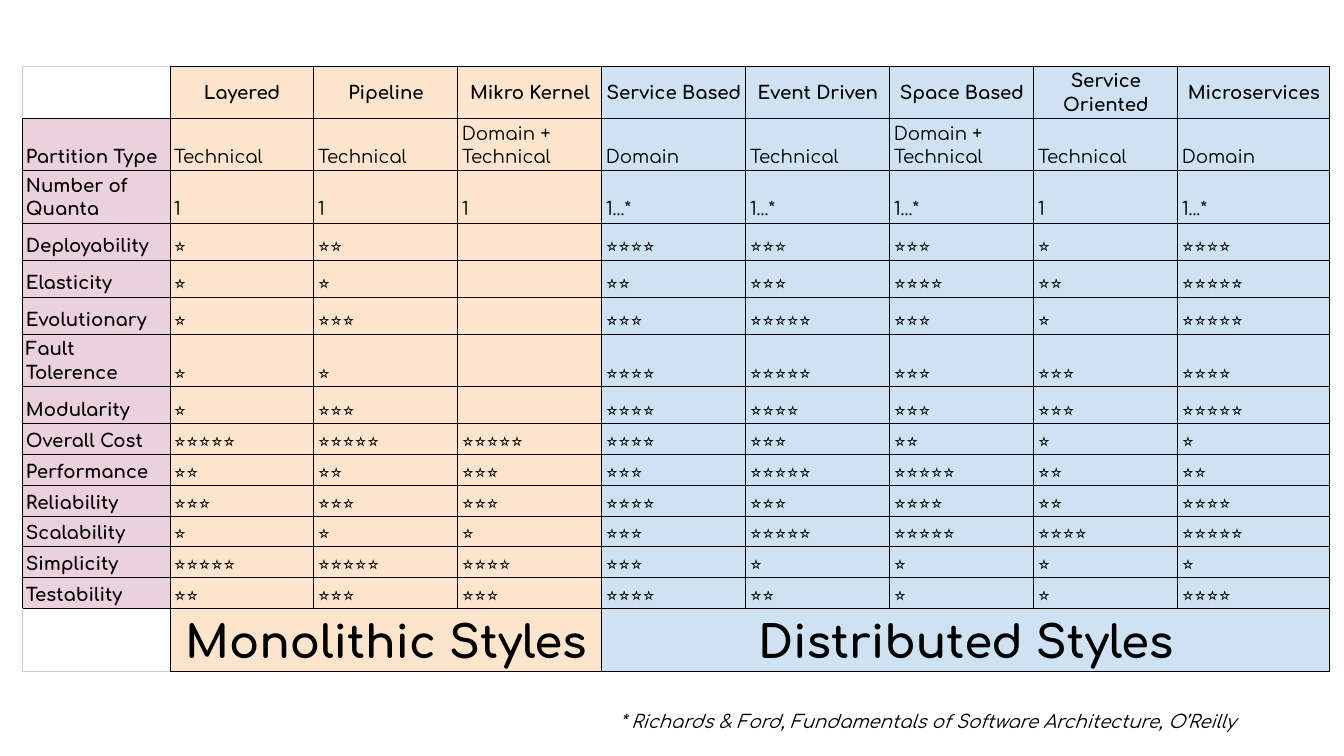
from lxml import etree
from pptx import Presentation
from pptx.dml.color import RGBColor
from pptx.enum.text import MSO_ANCHOR, MSO_AUTO_SIZE, PP_ALIGN
from pptx.oxml.ns import qn
from pptx.util import Pt

PX = 914400 / 100.8
FONT = "Comfortaa"
CENTER, LEFT = PP_ALIGN.CENTER, PP_ALIGN.LEFT
MIDDLE, BOTTOM = MSO_ANCHOR.MIDDLE, MSO_ANCHOR.BOTTOM
GROW = MSO_AUTO_SIZE.SHAPE_TO_FIT_TEXT
COLORS = {
    "text": "000000",
    "border": "000000",
    "faint": "CCCCCC",
    "label": "EAD1DC",
    "monolithic": "FCE5CD",
    "distributed": "CFE2F3",
}
COLUMN_WIDTHS = [148] + [144] * 7 + [152]
ROW_HEIGHTS = [52, 52, 51, 37, 37, 37, 52, 37, 31, 31, 31, 30, 31, 31, 63]
FIRST_DISTRIBUTED = 4

STAR_RATINGS = {
    "Deployability": [1, 2, 0, 4, 3, 3, 1, 4],
    "Elasticity": [1, 1, 0, 2, 3, 4, 2, 5],
    "Evolutionary": [1, 3, 0, 3, 5, 3, 1, 5],
    "Fault Tolerence": [1, 1, 0, 4, 5, 3, 3, 4],
    "Modularity": [1, 3, 0, 4, 4, 3, 3, 5],
    "Overall Cost": [5, 5, 5, 4, 3, 2, 1, 1],
    "Performance": [2, 2, 3, 3, 5, 5, 2, 2],
    "Reliability": [3, 3, 3, 4, 3, 4, 2, 4],
    "Scalability": [1, 1, 1, 3, 5, 5, 4, 5],
    "Simplicity": [5, 5, 4, 3, 1, 1, 1, 1],
    "Testability": [2, 3, 3, 4, 2, 1, 1, 4],
}
rows = [
    ["", "Layered", "Pipeline", "Mikro Kernel", "Service Based", "Event Driven",
     "Space Based", "Service Oriented", "Microservices"],
    ["Partition Type", "Technical", "Technical", "Domain + Technical", "Domain",
     "Technical", "Domain + Technical", "Technical", "Domain"],
    ["Number of Quanta", "1", "1", "1", "1...*", "1...*", "1...*", "1", "1...*"],
]
rows += [[label] + ["⭐" * count for count in counts] for label, counts in STAR_RATINGS.items()]
rows.append(["", "Monolithic Styles", "", "", "Distributed Styles", "", "", "", ""])
LAST_ROW = len(rows) - 1


def px(length):
    return round(length * PX)


def style_run(run, size, bold=False, italic=False):
    run.font.name = FONT
    run.font.size = Pt(size)
    run.font.bold = bold
    run.font.italic = italic
    run.font.color.rgb = RGBColor.from_string(COLORS["text"])


presentation = Presentation()
presentation.slide_width = px(1344)
presentation.slide_height = px(756)
slide = presentation.slides.add_slide(presentation.slide_layouts[6])

table = slide.shapes.add_table(
    len(rows), len(COLUMN_WIDTHS), px(22), px(66), px(sum(COLUMN_WIDTHS)), px(sum(ROW_HEIGHTS))
).table
table.first_row = False
table.horz_banding = False
for column, width in zip(table.columns, COLUMN_WIDTHS):
    column.width = px(width)
for row, height in zip(table.rows, ROW_HEIGHTS):
    row.height = px(height)

for row_index, texts in enumerate(rows):
    is_header, is_footer = row_index == 0, row_index == LAST_ROW
    for column_index, text in enumerate(texts):
        cell = table.cell(row_index, column_index)
        is_label = column_index == 0
        is_corner = is_label and (is_header or is_footer)
        cell.margin_left = cell.margin_right = px(4)
        cell.margin_top = cell.margin_bottom = px(3)
        cell.vertical_anchor = MIDDLE if is_header else BOTTOM

        faint_sides = ["L", "T" if is_header else "B"] if is_corner else []
        for side in "LRTB":
            line = etree.SubElement(cell._tc.get_or_add_tcPr(), qn(f"a:ln{side}"), w=str(Pt(0.75)))
            fill = etree.SubElement(line, qn("a:solidFill"))
            color = COLORS["faint" if side in faint_sides else "border"]
            etree.SubElement(fill, qn("a:srgbClr"), val=color)

        if is_corner:
            cell.fill.background()
        else:
            group = "monolithic" if column_index < FIRST_DISTRIBUTED else "distributed"
            cell.fill.solid()
            cell.fill.fore_color.rgb = RGBColor.from_string(COLORS["label" if is_label else group])

        if text:
            paragraph = cell.text_frame.paragraphs[0]
            paragraph.text = text
            paragraph.line_spacing = 1.15
            paragraph.alignment = CENTER if is_header or is_footer else LEFT
            style_run(paragraph.runs[0], 32 if is_footer else 13, is_header or is_footer or is_label)

for first, last in [(1, FIRST_DISTRIBUTED - 1), (FIRST_DISTRIBUTED, len(COLUMN_WIDTHS) - 1)]:
    table.cell(LAST_ROW, first).merge(table.cell(LAST_ROW, last))

citation = slide.shapes.add_textbox(px(606), px(699), px(716), px(49))
text_frame = citation.text_frame
text_frame.word_wrap = True
text_frame.auto_size = GROW
text_frame.margin_left = text_frame.margin_right = px(13)
text_frame.margin_top = text_frame.margin_bottom = px(13)
text_frame.text = "* Richards & Ford, Fundamentals of Software Architecture, O’Reilly"
style_run(text_frame.paragraphs[0].runs[0], 13, italic=True)

presentation.save("out.pptx")
